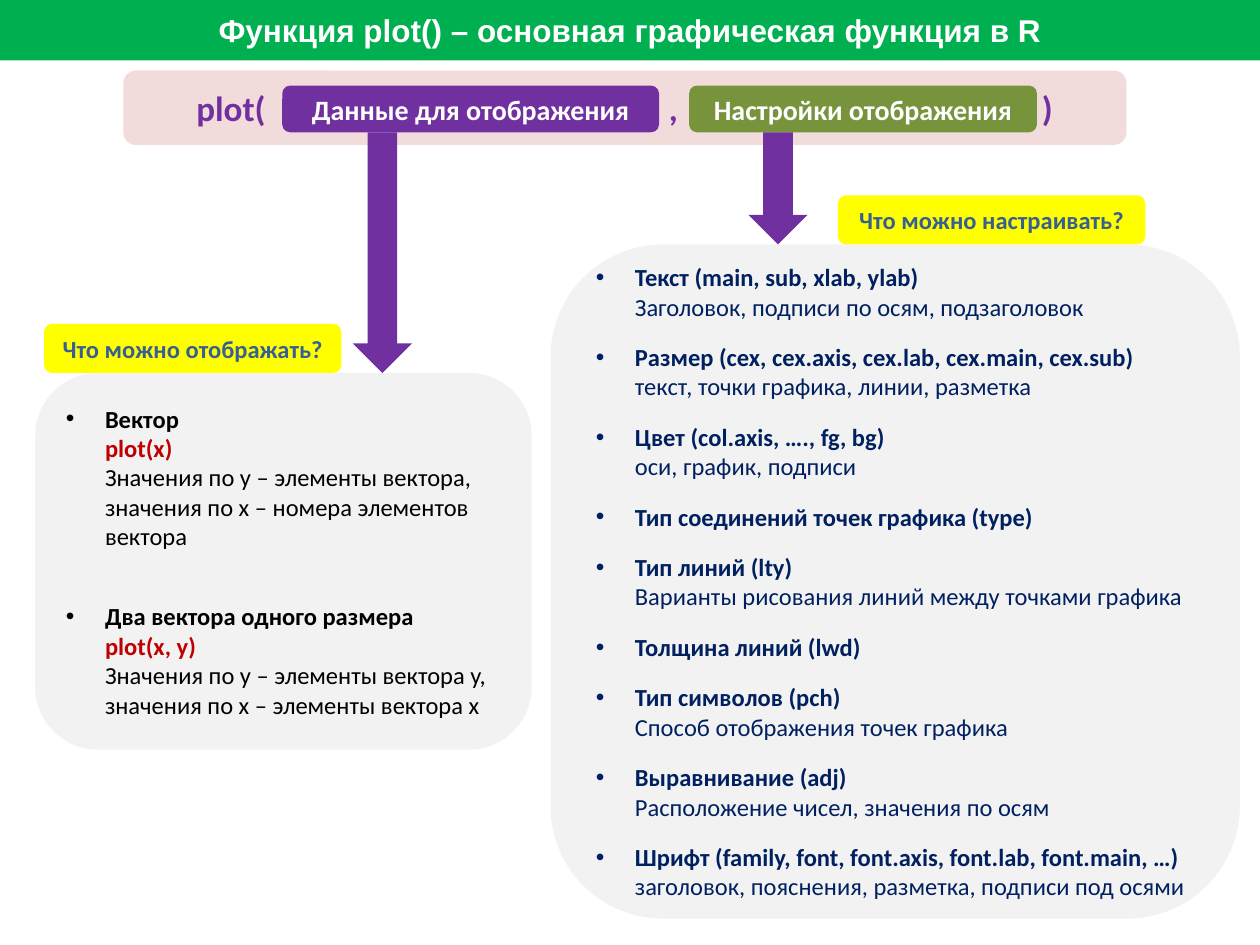
from pptx import Presentation
from pptx.util import Inches, Pt
from pptx.dml.color import RGBColor
from pptx.enum.shapes import MSO_SHAPE
from pptx.enum.text import PP_ALIGN, MSO_ANCHOR
from pptx.oxml.ns import qn
from lxml import etree

RECT, ROUND, ARROW = MSO_SHAPE.RECTANGLE, MSO_SHAPE.ROUNDED_RECTANGLE, MSO_SHAPE.DOWN_ARROW
LEFT, CENTER = PP_ALIGN.LEFT, PP_ALIGN.CENTER
MIDDLE = MSO_ANCHOR.MIDDLE

PURPLE, OLIVE, GREEN, YELLOW = "7030A0", "77933C", "00B050", "FFFF00"
PINK, GREY, WHITE, BLACK = "F2DCDB", "F2F2F2", "FFFFFF", "000000"
NAVY, RED, BLUE = "002060", "C00000", "376092"

# Content
TITLE = "Функция plot() – основная графическая функция в R"
CALL = "plot(\t,\t)"

VECTORS = [
    ("Вектор", "plot(x)",
     "Значения по y – элементы вектора, значения по x – номера элементов вектора"),
    ("Два вектора одного размера", "plot(x, y)",
     "Значения по y – элементы вектора y, значения по x – элементы вектора x"),
]
SETTINGS = [
    ("Текст (main, sub, xlab, ylab)", "Заголовок, подписи по осям, подзаголовок"),
    ("Размер (cex, cex.axis, cex.lab, cex.main, cex.sub)",
     "текст, точки графика, линии, разметка"),
    ("Цвет (col.axis, …., fg, bg)", "оси, график, подписи"),
    ("Тип соединений точек графика (type)",),
    ("Тип линий (lty)", "Варианты рисования линий между точками графика"),
    ("Толщина линий (lwd)",),
    ("Тип символов (pch)", "Способ отображения точек графика"),
    ("Выравнивание (adj)", "Расположение чисел, значения по осям"),
    ("Шрифт (family, font, font.axis, font.lab, font.main, …)",
     "заголовок, пояснения, разметка, подписи под осями"),
]

# Each argument of the call: pill, arrow, question label and panel.
# Spans are (left, width); a panel is (left, top, width, height).
# Line styles are (colour, bold) for each line of an item.
ARGUMENTS = [
    dict(name="Настройки отображения", fill=OLIVE, pill=(5.47, 2.76), arrow_left=5.94,
         question="Что можно настраивать?", label=(6.65, 2.44),
         panel=(4.37, 1.94, 5.47, 5.35), items=SETTINGS, gap=12,
         styles=[(NAVY, True), (NAVY, False)]),
    dict(name="Данные для отображения", fill=PURPLE, pill=(2.24, 2.99), arrow_left=2.8,
         question="Что можно отображать?", label=(0.35, 2.36),
         panel=(0.28, 2.96, 3.94, 2.99), items=VECTORS, gap=29,
         styles=[(BLACK, True), (RED, True), (BLACK, False)]),
]
PILL_TOP, PILL_HEIGHT = 0.68, 0.37
PILL_BOTTOM = PILL_TOP + PILL_HEIGHT
LABEL_HEIGHT, ARROW_WIDTH = 0.39, 0.47
HANG = 0.31
CALL_INSET, CALL_TABS = 0.55, (3.75, 6.71)

deck = Presentation()
deck.slide_width, deck.slide_height = Inches(10), Inches(7.5)
page = deck.slides.add_slide(deck.slide_layouts[6])


def add_box(kind, left, top, width, height, fill):
    box = page.shapes.add_shape(kind, *map(Inches, (left, top, width, height)))
    box.shadow.inherit = False
    box.fill.solid()
    box.fill.fore_color.rgb = RGBColor.from_string(fill)
    box.line.fill.background()
    box.text_frame.word_wrap = True
    box.text_frame.vertical_anchor = MIDDLE
    return box


def add_text(para, text, size=14, color=WHITE, bold=True, font="Calibri", align=CENTER):
    para.alignment = align
    span = para.add_run()
    span.text = text
    span.font.size, span.font.bold, span.font.name = Pt(size), bold, font
    span.font.color.rgb = RGBColor.from_string(color)


def add_bullet(para):
    props = para._p.get_or_add_pPr()
    props.set("marL", str(Inches(HANG)))
    props.set("indent", str(-Inches(HANG)))
    etree.SubElement(props, qn("a:buFont")).set("typeface", "Arial")
    etree.SubElement(props, qn("a:buChar")).set("char", "•")


def add_tabs(para, stops):
    tabs = etree.SubElement(para._p.get_or_add_pPr(), qn("a:tabLst"))
    for stop in stops:
        etree.SubElement(tabs, qn("a:tab"), pos=str(Inches(stop)), algn="l")


def fill_panel(frame, items, styles, gap):
    for number, lines in enumerate(items):
        para = frame.add_paragraph() if number else frame.paragraphs[0]
        add_bullet(para)
        if number:
            para.space_before = Pt(gap)
        for row, (line, (color, bold)) in enumerate(zip(lines, styles)):
            if row:
                para.add_line_break()
            add_text(para, line, color=color, bold=bold, align=LEFT)


# Title band
band = add_box(RECT, 0, 0, 10, 0.48, GREEN)
add_text(band.text_frame.paragraphs[0], TITLE, size=18, font="Arial")

# Function call, with tab stops leaving room for the argument pills
call = add_box(ROUND, 0.98, 0.56, 7.96, 0.59, PINK)
call.text_frame.margin_left = Inches(CALL_INSET)
call_para = call.text_frame.paragraphs[0]
add_tabs(call_para, CALL_TABS)
add_text(call_para, CALL, size=20, color=PURPLE, align=LEFT)

# Arguments with their explanations
for arg in ARGUMENTS:
    panel_top = arg["panel"][1]
    panel = add_box(ROUND, *arg["panel"], GREY)
    fill_panel(panel.text_frame, arg["items"], arg["styles"], arg["gap"])

    left, width = arg["pill"]
    pill = add_box(ROUND, left, PILL_TOP, width, PILL_HEIGHT, arg["fill"])
    add_text(pill.text_frame.paragraphs[0], arg["name"], size=16)

    left, width = arg["label"]
    label = add_box(ROUND, left, panel_top - LABEL_HEIGHT, width, LABEL_HEIGHT, YELLOW)
    add_text(label.text_frame.paragraphs[0], arg["question"], color=BLUE)

    add_box(ARROW, arg["arrow_left"], PILL_BOTTOM, ARROW_WIDTH,
            panel_top - PILL_BOTTOM, PURPLE)

deck.save("out.pptx")
